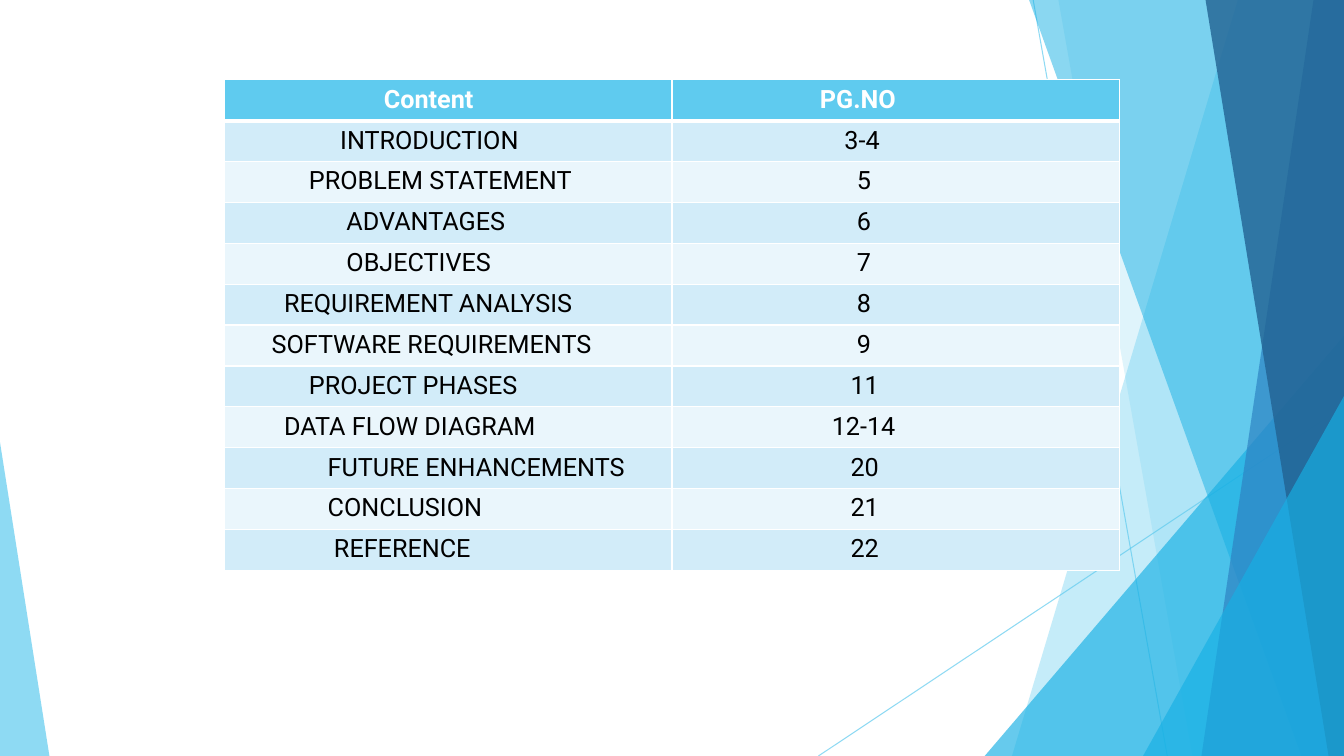
from dataclasses import dataclass

from lxml.etree import SubElement
from pptx import Presentation
from pptx.dml.color import RGBColor as Color
from pptx.enum.shapes import MSO_CONNECTOR as Connector, MSO_SHAPE as Preset
from pptx.oxml import parse_xml
from pptx.oxml.ns import nsdecls, qn
from pptx.util import Pt

WIDTH, HEIGHT = 960, 540
CELL_INSET = 7.2
CONTENTS = [
    (("Content", 107), ("PG.NO", 98.5)),
    (("INTRODUCTION", 75.8), ("3-4", 116)),
    (("PROBLEM STATEMENT", 53.5), ("5", 124.9)),
    (("ADVANTAGES", 80.3), ("6", 124.9)),
    (("OBJECTIVES", 80.3), ("7", 124.9)),
    (("REQUIREMENT ANALYSIS", 35.7), ("8", 124.9)),
    (("SOFTWARE REQUIREMENTS", 26.8), ("9", 124.9)),
    (("PROJECT PHASES", 53.5), ("11", 120.4)),
    (("DATA FLOW DIAGRAM", 35.7), ("12-14", 107)),
    (("FUTURE ENHANCEMENTS", 66.9), ("20", 120.4)),
    (("CONCLUSION", 66.9), ("21", 120.4)),
    (("REFERENCE", 71.4), ("22", 120.4)),
]


@dataclass(frozen=True)
class Theme:
    """Colours, font and type size of the slide."""

    sky: str = "5FCBEF"
    cyan: str = "17B0E4"
    blue: str = "2E83C3"
    navy: str = "226292"
    white: str = "FFFFFF"
    black: str = "000000"
    bands: tuple = ("EAF6FC", "D2ECF9")
    font: str = "Roboto"
    text_size: float = 18
    hairline: float = 0.75
    border: float = 1
    header_border: float = 3


class SlideBuilder:
    """Draws elements on one slide in the given theme."""

    def __init__(self, slide, theme):
        """Keep the slide and the theme."""
        self.slide = slide
        self.theme = theme

    def set_opacity(self, shape, percent):
        """Make the colours of a shape partly transparent."""
        for color in shape.element.spPr.iter(qn("a:srgbClr")):
            SubElement(color, qn("a:alpha")).set("val", str(percent * 1000))

    def paint(self, shape, color, opacity):
        """Give a shape a translucent fill without outline or shadow."""
        shape.shadow.inherit = False
        shape.fill.solid()
        shape.fill.fore_color.rgb = Color.from_string(color)
        shape.line.fill.background()
        self.set_opacity(shape, opacity)

    def add_line(self, start, end):
        """Draw a thin translucent line."""
        points = [Pt(value) for value in (*start, *end)]
        line = self.slide.shapes.add_connector(Connector.STRAIGHT, *points)
        line.line.color.rgb = Color.from_string(self.theme.sky)
        line.line.width = Pt(self.theme.hairline)
        self.set_opacity(line, 70)
        SubElement(line.element.spPr, qn("a:effectLst"))

    def add_facet(self, top_x, bottom_x, color, opacity):
        """Draw a full-height facet reaching the right edge of the slide."""
        outline = self.slide.shapes.build_freeform(Pt(top_x), 0, scale=1.0)
        corners = [(WIDTH, 0), (WIDTH, HEIGHT), (bottom_x, HEIGHT)]
        outline.add_line_segments([(Pt(x), Pt(y)) for x, y in corners], close=True)
        self.paint(outline.convert_to_shape(), color, opacity)

    def add_triangle(self, left, top, width, apex, color, opacity):
        """Draw a triangle standing on the bottom edge of the slide."""
        shape = self.slide.shapes.add_shape(
            Preset.ISOSCELES_TRIANGLE, Pt(left), Pt(top), Pt(width), Pt(HEIGHT - top)
        )
        shape.adjustments[0] = apex
        self.paint(shape, color, opacity)

    def set_borders(self, cell, top, bottom):
        """Set white cell borders with the given top and bottom widths."""
        properties = cell._tc.get_or_add_tcPr()
        side = self.theme.border
        widths = {"lnL": side, "lnR": side, "lnT": top, "lnB": bottom}
        for position, (name, width) in enumerate(widths.items()):
            border = parse_xml(
                f'<a:{name} {nsdecls("a")} w="{Pt(width)}"><a:solidFill>'
                f'<a:srgbClr val="{self.theme.white}"/></a:solidFill></a:{name}>'
            )
            properties.insert(position, border)

    def fill_cell(self, cell, row, text, indent):
        """Write and style one cell of the contents table."""
        theme = self.theme
        is_header = row == 0
        cell.margin_left = Pt(CELL_INSET + indent)
        cell.fill.solid()
        fill = theme.sky if is_header else theme.bands[row % 2]
        cell.fill.fore_color.rgb = Color.from_string(fill)
        self.set_borders(
            cell,
            top=theme.header_border if row == 1 else theme.border,
            bottom=theme.header_border if is_header else theme.border,
        )
        cell.text_frame.text = text
        font = cell.text_frame.paragraphs[0].runs[0].font
        font.name = theme.font
        font.size = Pt(theme.text_size)
        font.bold = is_header
        font.color.rgb = Color.from_string(theme.white if is_header else theme.black)

    def add_contents(self, left, top, column_width, row_height, rows):
        """Add the table of sections and page numbers."""
        columns = len(rows[0])
        frame = self.slide.shapes.add_table(
            len(rows), columns, Pt(left), Pt(top),
            Pt(column_width * columns), Pt(row_height * len(rows)),
        )
        for row, entries in enumerate(rows):
            frame.table.rows[row].height = Pt(row_height)
            for column, (text, indent) in enumerate(entries):
                self.fill_cell(frame.table.cell(row, column), row, text, indent)


def main():
    """Build and save the contents slide."""
    presentation = Presentation()
    presentation.slide_width = Pt(WIDTH)
    presentation.slide_height = Pt(HEIGHT)
    slide = presentation.slides.add_slide(presentation.slide_layouts[6])
    theme = Theme()
    builder = SlideBuilder(slide, theme)

    builder.add_line((738, 0), (833.8, HEIGHT))
    builder.add_line((WIDTH, 290.2), (584.6, HEIGHT))
    builder.add_facet(884.2, 722.9, theme.sky, 36)
    builder.add_facet(756, 851.8, theme.sky, 20)
    builder.add_triangle(703.4, 239.8, 256.6, 1, theme.cyan, 66)
    builder.add_facet(735.1, 929.5, theme.cyan, 50)
    builder.add_facet(938.2, 858.2, theme.blue, 70)
    builder.add_facet(861.1, 949, theme.navy, 80)
    builder.add_triangle(816.5, 283, 143.5, 1, theme.cyan, 66)
    builder.add_triangle(0, 316, 35.3, 0, theme.sky, 70)
    builder.add_contents(160, 57, 320, 29.2, CONTENTS)

    presentation.save("out.pptx")


if __name__ == "__main__":
    main()
